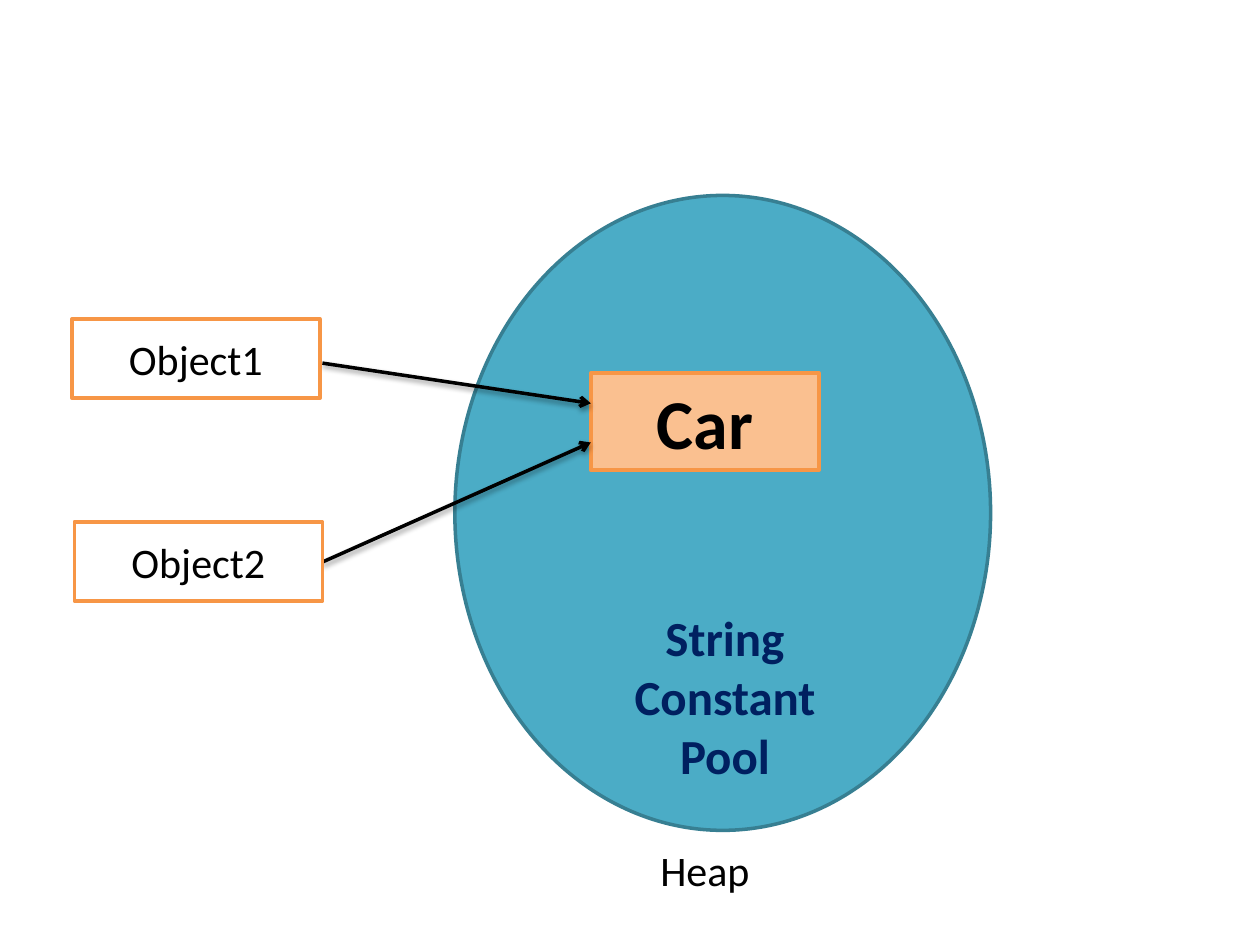
import pptx
import pptx.util
import pptx.dml.color
import pptx.enum.shapes
import pptx.enum.text
import pptx.oxml
import pptx.oxml.ns

Cm = pptx.util.Cm
Pt = pptx.util.Pt
FORM = pptx.enum.shapes.MSO_SHAPE
SIDE = pptx.enum.text.MSO_ANCHOR
NS = pptx.oxml.ns.nsdecls("a")
SHADE = (
    f'<a:effectLst {NS}><a:outerShdw blurRad="40000" dist="20000" dir="5400000" rotWithShape="0">'
    '<a:srgbClr val="000000"><a:alpha val="38000"/></a:srgbClr></a:outerShdw></a:effectLst>'
)
HEAD = f'<a:tailEnd {NS} type="arrow"/>'


def paint(fmt, color):
    """Set the colour of a font or a solid fill."""
    fmt.rgb = pptx.dml.color.RGBColor.from_string(color)


def write(shape, text, size, color="000000", bold=False, anchor=SIDE.TOP):
    """Put centred text into a shape."""
    frame = shape.text_frame
    frame.text = text
    frame.word_wrap = True
    frame.vertical_anchor = anchor
    line = frame.paragraphs[0]
    line.alignment = pptx.enum.text.PP_ALIGN.CENTER
    font = line.runs[0].font
    font.name, font.size, font.bold = "Calibri", Pt(size), bold
    paint(font.color, color)


def block(slide, form, place, fill, edge):
    """Add a filled and outlined shape."""
    shape = slide.shapes.add_shape(form, *map(Cm, place))
    shape.shadow.inherit = False
    shape.fill.solid()
    paint(shape.fill.fore_color, fill)
    paint(shape.line.color, edge)
    shape.line.width = Pt(2)
    return shape


def arrow(slide, start, end):
    """Add a black arrow with a soft shadow."""
    line = slide.shapes.add_connector(
        pptx.enum.shapes.MSO_CONNECTOR.STRAIGHT, *map(Cm, start + end))
    paint(line.line.color, "000000")
    line.line.width = Pt(2)
    line.line._get_or_add_ln().append(pptx.oxml.parse_xml(HEAD))
    line._element.spPr.append(pptx.oxml.parse_xml(SHADE))


def label(slide, place, text, size, color="000000", bold=False):
    """Add a free text label."""
    write(slide.shapes.add_textbox(*map(Cm, place)), text, size, color, bold)


def main():
    """Build the string pool slide."""
    deck = pptx.Presentation()
    deck.slide_width, deck.slide_height = Cm(25.4), Cm(19.05)
    slide = deck.slides.add_slide(deck.slide_layouts[6])

    block(slide, FORM.OVAL, (9.17, 3.94, 10.8, 12.8), "4BACC6", "377F92")
    car = block(slide, FORM.RECTANGLE, (11.91, 7.52, 4.6, 1.96), "FAC090", "F79646")
    write(car, "Car", 40, bold=True)

    for start, end in (((6.5, 7.32), (11.91, 8.13)), ((6.5, 11.33), (11.91, 8.92))):
        arrow(slide, start, end)
    for name, left, top in (("Object1", 1.45, 6.43), ("Object2", 1.5, 10.52)):
        box = block(slide, FORM.RECTANGLE, (left, top, 5, 1.6), "FFFFFF", "F79646")
        write(box, name, 24, anchor=SIDE.MIDDLE)

    label(slide, (11.91, 12.12, 5.41, 3.84), "String Constant Pool", 28, "002060", True)
    label(slide, (10.11, 16.89, 8.2, 1.27), "Heap", 24)
    deck.save("out.pptx")


if __name__ == "__main__":
    main()
